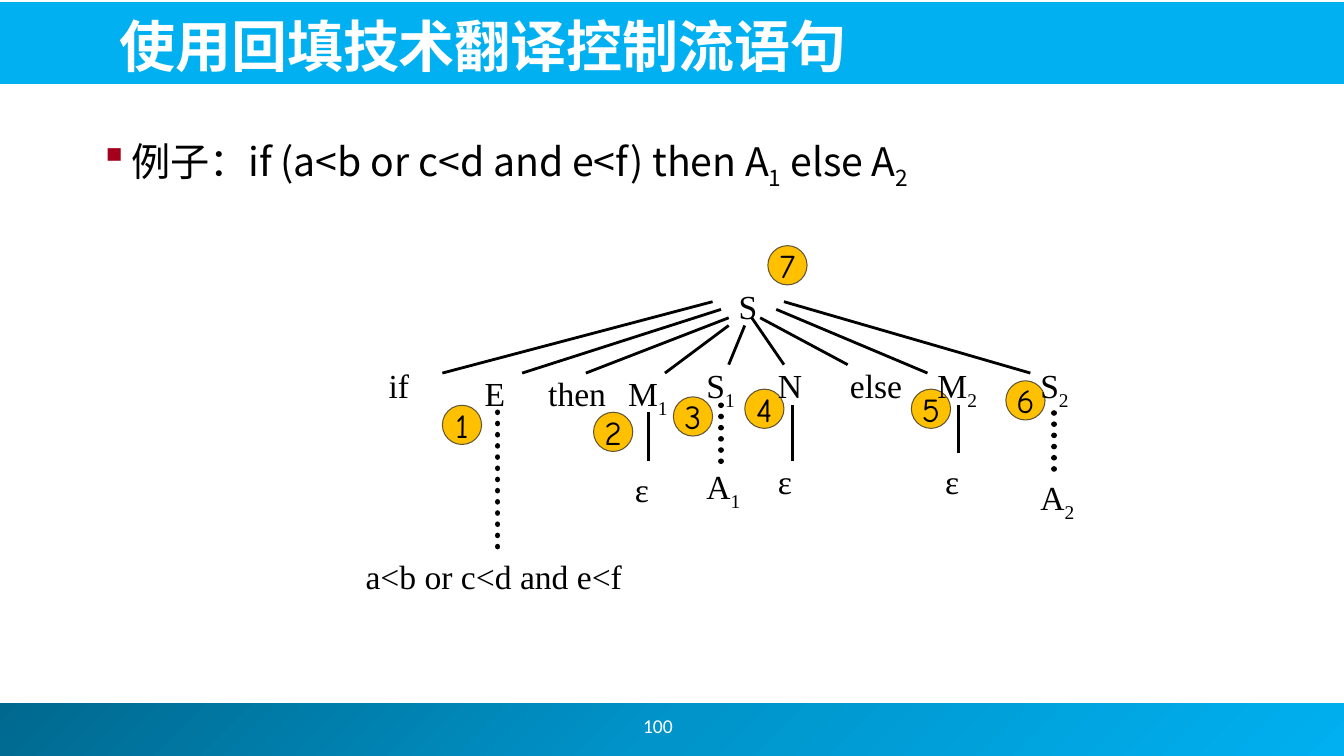
from lxml import etree
from copy import deepcopy
from pptx import Presentation
from pptx.dml.color import RGBColor
from pptx.enum.dml import MSO_LINE
from pptx.enum.shapes import MSO_CONNECTOR, MSO_SHAPE
from pptx.enum.text import MSO_ANCHOR, MSO_AUTO_SIZE, PP_ALIGN
from pptx.oxml.ns import qn
from pptx.util import Pt

RECT, OVAL = MSO_SHAPE.RECTANGLE, MSO_SHAPE.OVAL
STRAIGHT, DOTTED = MSO_CONNECTOR.STRAIGHT, MSO_LINE.ROUND_DOT
LEFT, CENTER = PP_ALIGN.LEFT, PP_ALIGN.CENTER
TOP, MIDDLE = MSO_ANCHOR.TOP, MSO_ANCHOR.MIDDLE
NO_FIT = MSO_AUTO_SIZE.NONE

COLORS = {
    "black": "000000", "white": "FFFFFF", "sky": "00B0F0",
    "deep": "00688E", "mid": "0094CA", "bullet": "A4001D",
    "badge": "FFC000", "badge_line": "605435",
}
SANS, SERIF, HAND, NUMBER = "Noto Sans CJK JP", "Times New Roman", "Comic Neue", "Calibri"


def rgb(name):
    return RGBColor.from_string(COLORS[name])


def write(p, *pieces, font=SERIF, size=24, color="black", bold=False, align=LEFT):
    p.alignment = align
    for i, piece in enumerate(pieces):
        r = p.add_run()
        r.text = piece
        r.font.name, r.font.size, r.font.bold = font, Pt(size), bold
        r.font.color.rgb = rgb(color)
        rPr = r.font._element
        etree.SubElement(rPr, qn("a:ea")).set("typeface", font)
        if i % 2:
            rPr.set("baseline", "-25000")


class Canvas:
    def __init__(self, slide):
        self.slide = slide
        self.shapes = slide.shapes

    def shape(self, kind, x, y, w, h, fill=None, line=None):
        sp = self.shapes.add_shape(kind, Pt(x), Pt(y), Pt(w), Pt(h))
        sp.shadow.inherit = False
        if fill:
            sp.fill.solid()
            sp.fill.fore_color.rgb = rgb(fill)
        if line:
            sp.line.color.rgb = rgb(line)
            sp.line.width = Pt(0.75)
        else:
            sp.line.fill.background()
        return sp

    def gradient_bar(self, x, y, w, h, names):
        fill = self.shape(RECT, x, y, w, h).fill
        fill.gradient()
        fill.gradient_angle = 315
        first = fill.gradient_stops[0]._gs
        first.addnext(deepcopy(first))
        for i, (stop, name) in enumerate(zip(fill.gradient_stops, names)):
            stop.position = i / (len(names) - 1)
            stop.color.rgb = rgb(name)

    def text(self, x, y, w, h, *pieces, anchor=TOP, top=3.6, **fmt):
        tf = self.shapes.add_textbox(Pt(x), Pt(y), Pt(w), Pt(h)).text_frame
        tf.word_wrap = True
        tf.vertical_anchor = anchor
        tf.margin_top = Pt(top)
        p = tf.paragraphs[0]
        write(p, *pieces, **fmt)
        return p

    def bullet(self, x, y, w, h, *pieces, **fmt):
        p = self.text(x, y, w, h, *pieces, **fmt)
        p.line_spacing = 0.9
        pPr = p._p.get_or_add_pPr()
        pPr.set("marL", str(Pt(58.5)))
        pPr.set("indent", str(-Pt(22.5)))
        clr = etree.SubElement(pPr, qn("a:buClr"))
        etree.SubElement(clr, qn("a:srgbClr")).set("val", COLORS["bullet"])
        etree.SubElement(pPr, qn("a:buChar")).set("char", "▪")

    def badge(self, x, y, number):
        tf = self.shape(OVAL, x, y, 28, 28, "badge", "badge_line").text_frame
        tf.word_wrap = False
        tf.vertical_anchor = MIDDLE
        write(tf.paragraphs[0], number, font=HAND, align=CENTER)

    def line(self, x1, y1, x2, y2, dotted=False):
        c = self.shapes.add_connector(STRAIGHT, Pt(x1), Pt(y1), Pt(x2), Pt(y2))
        c.line.color.rgb = rgb("black")
        c.line.width = Pt(4 if dotted else 2)
        spPr = c._element.spPr
        if dotted:
            c.line.dash_style = DOTTED
            spPr.find(qn("a:ln")).set("cap", "rnd")
        etree.SubElement(spPr, qn("a:effectLst"))

    def title(self, x, y, w, h, text, **fmt):
        sp = self.shapes.title
        sp.left, sp.top, sp.width, sp.height = Pt(x), Pt(y), Pt(w), Pt(h)
        sp._element.getparent().append(sp._element)
        tf = sp.text_frame
        tf.word_wrap = True
        tf.auto_size = NO_FIT
        tf.vertical_anchor = MIDDLE
        write(tf.paragraphs[0], text, **fmt)


BADGES = [(316, 289.5), (424, 294.5), (481, 283.5), (532, 278),
          (651, 278), (718.5, 272), (548.5, 175.5)]
NODES = [
    (520.5, 198, 47.5, "S"),
    (270.5, 255, 34, "if"),
    (339, 260.5, 62.5, "E"),
    (384.5, 260.5, 62.5, "then"),
    (441.5, 260.5, 51, "M", "1"),
    (497.5, 255, 51, "S", "1"),
    (548.5, 255, 44.5, "N"),
    (600, 255, 62.5, "else"),
    (662.5, 255, 58.5, "M", "2"),
    (736, 255, 57, "S", "2"),
    (254, 391, 215, "a<b or c<d and e<f"),
    (446.5, 329, 41, "ε"),
    (497.5, 327, 57, "A", "1"),
    (548.5, 323.5, 41, "ε"),
    (668, 323.5, 41, "ε"),
    (736, 335, 57, "A", "2"),
]
BRANCHES = [
    (509, 215.5, 316, 266.5), (515, 221, 373, 266.5), (520.5, 227, 418.5, 266.5),
    (520.5, 232.5, 475, 266.5), (532, 232.5, 520.5, 260.5), (537, 227, 560, 260.5),
    (543, 227, 605.5, 260.5), (554.5, 221, 662.5, 266.5), (560, 215.5, 736, 266.5),
]
STEMS = [
    (355.5, 294.5, 391, True), (463.5, 294.5, 329, False), (515, 289.5, 335, True),
    (566, 289.5, 329, False), (684.5, 289.5, 323.5, False), (753, 295, 340, True),
]


def main():
    prs = Presentation()
    prs.slide_width, prs.slide_height = Pt(960), Pt(540)
    c = Canvas(prs.slides.add_slide(prs.slide_layouts[5]))
    c.gradient_bar(-3.5, 502.5, 964, 37.5, ["deep", "mid", "sky"])
    c.shape(RECT, -1.5, 1.5, 962, 58.5, "sky")
    c.text(366, 500.5, 208, 36, "100", anchor=MIDDLE, font=NUMBER, size=14,
           color="white", align=CENTER)
    c.bullet(28, 95, 658, 57, "例子：if (a<b or c<d and e<f) then A", "1",
             " else A", "2", font=SANS, size=28)
    for number, (x, y) in enumerate(BADGES, 1):
        c.badge(x, y, str(number))
    for x, y, w, *pieces in NODES:
        c.text(x, y, w, 36, *pieces, top=6)
    for branch in BRANCHES:
        c.line(*branch)
    for x, y1, y2, dotted in STEMS:
        c.line(x, y1, x, y2, dotted)
    c.title(78, 3.5, 850, 57, "使用回填技术翻译控制流语句", font=SANS, size=40,
            color="white", bold=True)
    prs.save("out.pptx")


if __name__ == "__main__":
    main()
